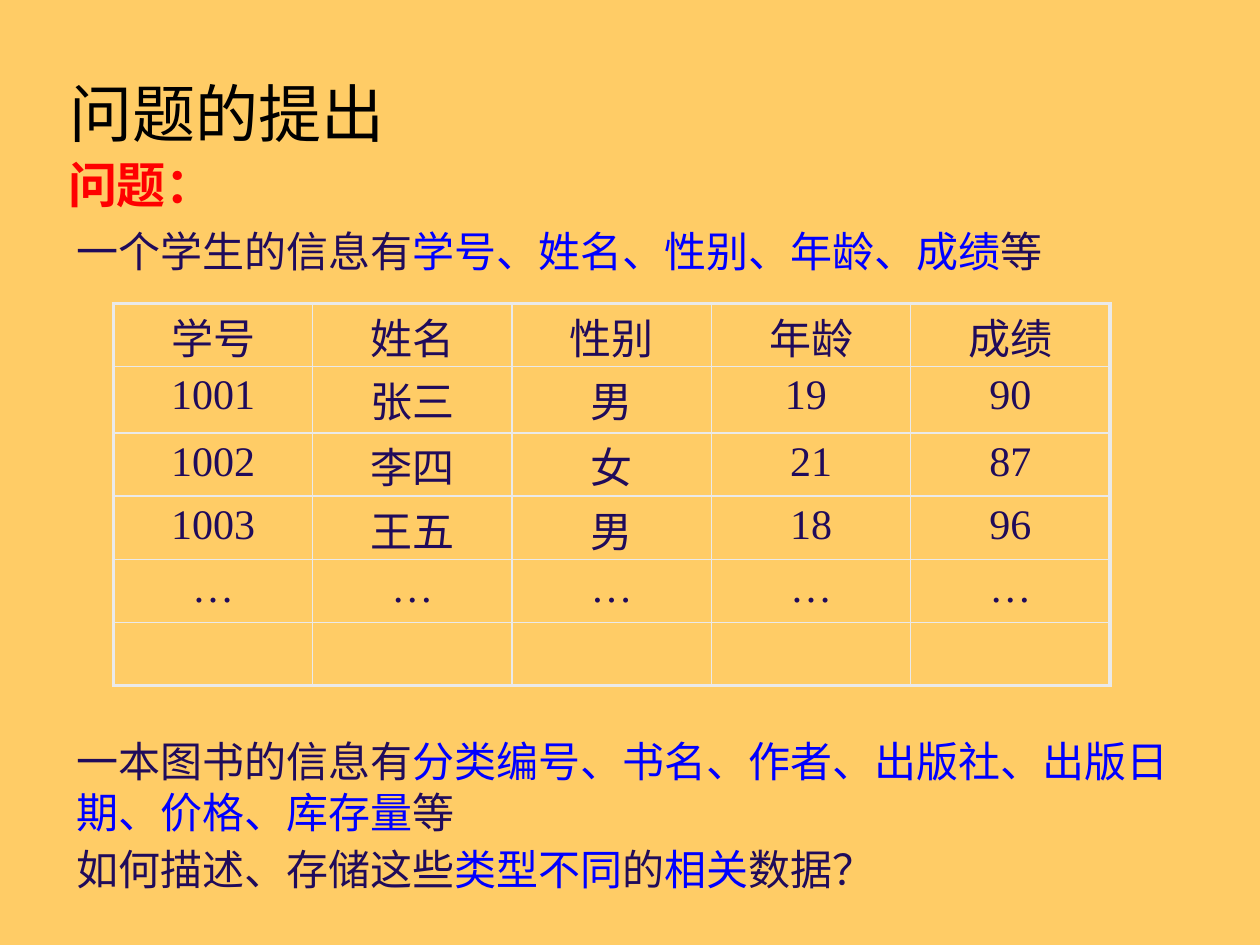
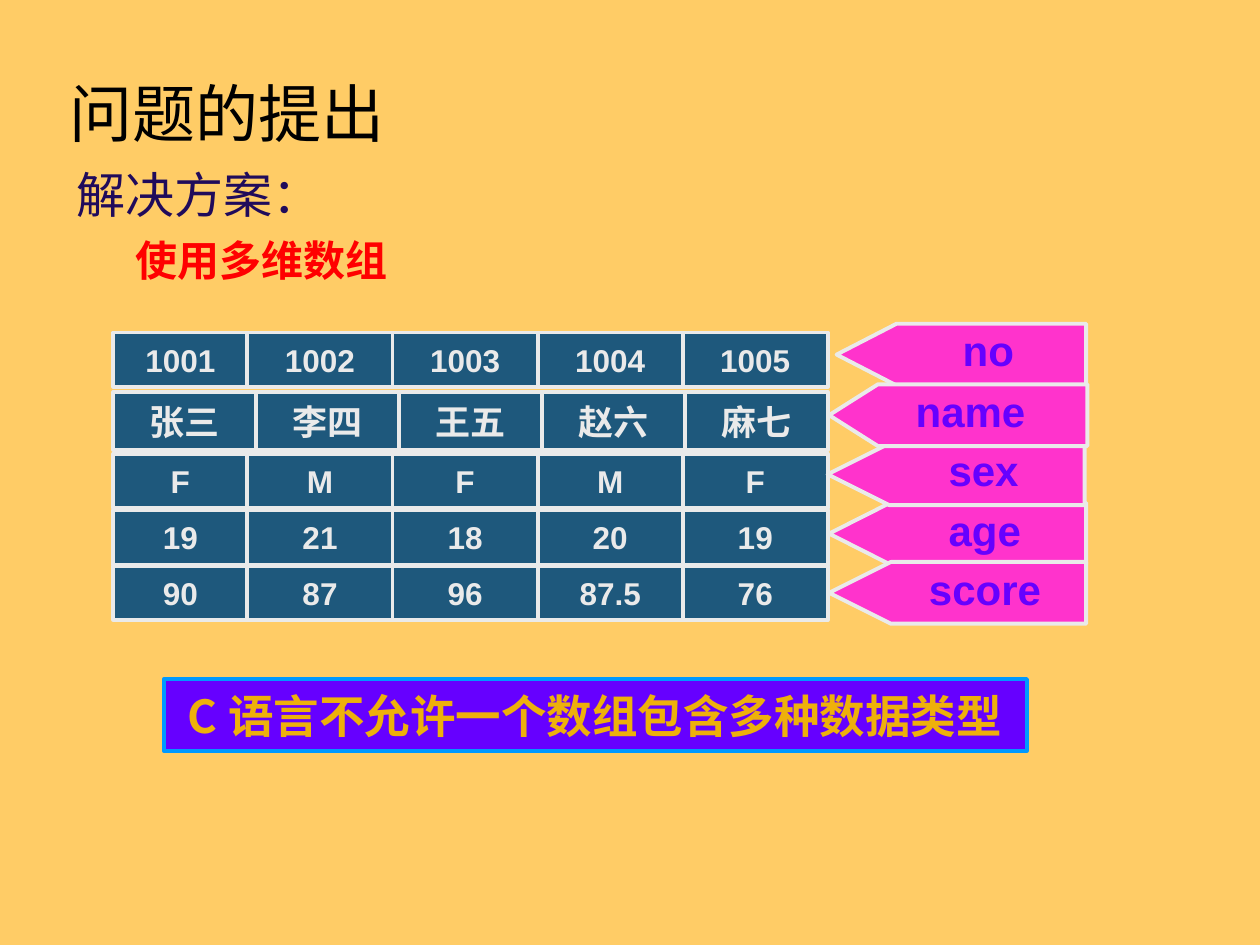
"""Build two slides that motivate structures in C: the problem and a first attempt."""
from lxml import etree
from pptx import Presentation
from pptx.dml.color import RGBColor as RGB
from pptx.enum.shapes import MSO_SHAPE as SHAPE
from pptx.enum.text import MSO_ANCHOR as ANCHOR, MSO_AUTO_SIZE as AUTO, PP_ALIGN as ALIGN
from pptx.oxml.ns import qn
from pptx.util import Pt

COLORS = dict(back="FFCC66", black="000000", ink="200B5B", key="0000FF", red="FF0000",
              pale="EAEAEA", cell="1E587C", pink="FF33CC", violet="6600FF",
              sky="0099FF", gold="EEB00B")
CJK, ARIAL, TIMES = "Noto Sans CJK SC", "Arial", "Times New Roman"
TITLE = "问题的提出"

QUESTIONS = [
    [("一个学生的信息有", "ink"), ("学号、姓名、性别、年龄、成绩", "key"), ("等", "ink")],
    [("一本图书的信息有", "ink"),
     ("分类编号、书名、作者、出版社、出版日期、价格、库存量", "key"), ("等", "ink")],
    [("如何描述、存储这些", "ink"), ("类型不同", "key"), ("的", "ink"),
     ("相关", "key"), ("数据？", "ink")],
]
QUESTION_GAPS = [0, 262, 3.5]

STUDENTS = [
    ["学号", "姓名", "性别", "年龄", "成绩"],
    ["1001", "张三", "男", "19 ", "90"],
    ["1002", "李四", "女", "21", "87"],
    ["1003", "王五", "男", "18", "96"],
    ["…"] * 5,
    [""] * 5,
]
STUDENT_ROWS = [36, 38, 36, 36, 36, 36]

ARRAYS = [
    (190, 31, ["1001", "1002", "1003", "1004", "1005"]),
    (224, 33.2, ["张三", "李四", "王五", "赵六", "麻七"]),
    (259.2, 31, ["F", "M", "F", "M", "F"]),
    (291.6, 31, ["19", "21", "18", "20", "19"]),
    (323.3, 31, ["90", "87", "96", "87.5", "76"]),
]
FIELDS = [
    ("age", 473.8, 287.3, 146.9, 0.99, 13.7),
    ("no", 478.1, 185, 142.6, 0.97, 13.7),
    ("sex", 473, 253.4, 146.9, 1, 13.7),
    ("name", 473.8, 219.6, 147.6, 0.79, 0),
    ("score", 473.8, 321.1, 146.9, 1, 13.7),
]
GRID_LEFT, GRID_WIDTH, FIRST_WIDTH = 64.8, 408.2, 76.6


def rgb(name):
    return RGB.from_string(COLORS[name])


def set_all(obj, **values):
    for name, value in values.items():
        setattr(obj, name, value)


def place(sp, *box):
    set_all(sp, **dict(zip(("left", "top", "width", "height"), map(Pt, box))))


def is_cjk(text):
    return text[:1] >= "一"


def add_run(p, text, size, color, font=CJK, bold=False):
    r = p.add_run()
    r.text = text
    set_all(r.font, size=Pt(size), name=font, bold=bold)
    r.font.color.rgb = rgb(color)
    ea = etree.Element(qn("a:ea"), typeface=CJK)
    r.font._element.find(qn("a:latin")).addnext(ea)


def plain(p):
    pPr = p._p.get_or_add_pPr()
    set_all(p, space_before=Pt(0))
    pPr.set("marL", "0")
    pPr.set("indent", "0")
    etree.SubElement(pPr, qn("a:buNone"))


def add_slide(prs):
    s = prs.slides.add_slide(prs.slide_layouts[1])
    s.background.fill.solid()
    s.background.fill.fore_color.rgb = rgb("back")
    title, body = s.placeholders
    place(title, 32.4, 38.2, 648, 51.8)
    set_all(title.text_frame, vertical_anchor=ANCHOR.MIDDLE, auto_size=AUTO.NONE)
    p = title.text_frame.paragraphs[0]
    p.alignment = ALIGN.LEFT
    add_run(p, TITLE, 36, "black")
    set_all(body.text_frame, vertical_anchor=ANCHOR.TOP, auto_size=AUTO.NONE)
    return s, body


def add_label(s, text, size, *box):
    sp = s.shapes.add_textbox(*map(Pt, box))
    sp.text_frame.word_wrap = False
    add_run(sp.text_frame.paragraphs[0], text, size, "red", bold=True)


def add_block(s, kind, box, fill, line, text, size, color, font=ARIAL,
              anchor=ANCHOR.MIDDLE, margins=(0, 0, 0, 0)):
    sp = s.shapes.add_shape(kind, *map(Pt, box))
    sp.shadow.inherit = False
    sp.fill.solid()
    sp.fill.fore_color.rgb = rgb(fill)
    sp.line.color.rgb = rgb(line)
    sp.line.width = Pt(2.25)
    tf = sp.text_frame
    set_all(tf, word_wrap=True, vertical_anchor=anchor)
    sides = ("margin_left", "margin_top", "margin_right", "margin_bottom")
    set_all(tf, **dict(zip(sides, map(Pt, margins))))
    p = tf.paragraphs[0]
    p.alignment = ALIGN.CENTER
    add_run(p, text, size, color, font, bold=True)
    return sp


def set_borders(cell, widths):
    tcPr = cell._tc.get_or_add_tcPr()
    for i, (side, width) in enumerate(widths.items()):
        ln = etree.Element(qn("a:ln" + side), w=str(Pt(width)))
        fill = etree.SubElement(ln, qn("a:solidFill"))
        etree.SubElement(fill, qn("a:srgbClr"), val=COLORS["pale"])
        tcPr.insert(i, ln)


def add_students(s):
    n, m = len(STUDENTS), len(STUDENTS[0])
    table = s.shapes.add_table(n, m, Pt(64.8), Pt(173.5), Pt(569.5), Pt(sum(STUDENT_ROWS))).table
    set_all(table, first_row=False, horz_banding=False)
    for col in table.columns:
        col.width = Pt(113.9)
    for i, (height, row) in enumerate(zip(STUDENT_ROWS, STUDENTS)):
        table.rows[i].height = Pt(height)
        for j, text in enumerate(row):
            cell = table.cell(i, j)
            cell.fill.solid()
            cell.fill.fore_color.rgb = rgb("back")
            edges = dict(L=j == 0, R=j == m - 1, T=i == 0, B=i == n - 1)
            set_borders(cell, {k: 2.25 if outer else 1 for k, outer in edges.items()})
            set_all(cell, margin_top=Pt(12 if is_cjk(text) else 5.8), margin_bottom=Pt(0))
            if text:
                p = cell.text_frame.paragraphs[0]
                set_all(p, alignment=ALIGN.CENTER, line_spacing=Pt(24))
                add_run(p, text, 24, "ink", TIMES)


def problem_slide(prs):
    s, body = add_slide(prs)
    place(body, 36.7, 125, 653, 396.7)
    tf = body.text_frame
    for i, (parts, gap) in enumerate(zip(QUESTIONS, QUESTION_GAPS)):
        p = tf.add_paragraph() if i else tf.paragraphs[0]
        plain(p)
        set_all(p, space_before=Pt(gap), line_spacing=Pt(29.1))
        for text, color in parts:
            add_run(p, text, 24, color)
    add_label(s, "问题：", 28, 31.8, 85, 121, 41)
    add_students(s)


def solution_slide(prs):
    s, body = add_slide(prs)
    place(body, 36.7, 90.6, 581.8, 48.2)
    p = body.text_frame.paragraphs[0]
    plain(p)
    add_run(p, "解决方案：", 28, "ink", TIMES)
    add_label(s, "使用多维数组", 24, 70.6, 130.2, 214.6, 36)
    for top, height, values in ARRAYS:
        names = is_cjk(values[0])
        first = GRID_WIDTH / len(values) if names else FIRST_WIDTH
        rest = (GRID_WIDTH - first) / (len(values) - 1)
        for j, text in enumerate(values):
            left = GRID_LEFT + (first + (j - 1) * rest if j else 0)
            box = left, top, rest if j else first, height
            add_block(s, SHAPE.RECTANGLE, box, "cell", "pale", text, 20 if names else 18, "pale")
    for text, left, top, width, point, indent in FIELDS:
        sp = add_block(s, SHAPE.PENTAGON, (left, top, width, 35.3), "pink", "pale", text, 24,
                       "violet", anchor=ANCHOR.TOP, margins=(7.2, 0.7, 7.2, 3.6))
        sp.adjustments[0] = point
        sp._element.spPr.find(qn("a:xfrm")).set("flipH", "1")
        sp.text_frame.paragraphs[0]._p.get_or_add_pPr().set("marL", str(Pt(indent)))
    add_block(s, SHAPE.RECTANGLE, (93.6, 388.1, 493.2, 41), "violet", "sky",
              "C 语言不允许一个数组包含多种数据类型", 26, "gold", CJK)


def main():
    prs = Presentation()
    set_all(prs, slide_width=Pt(720), slide_height=Pt(540))
    problem_slide(prs)
    solution_slide(prs)
    prs.save("out.pptx")


if __name__ == "__main__":
    main()
